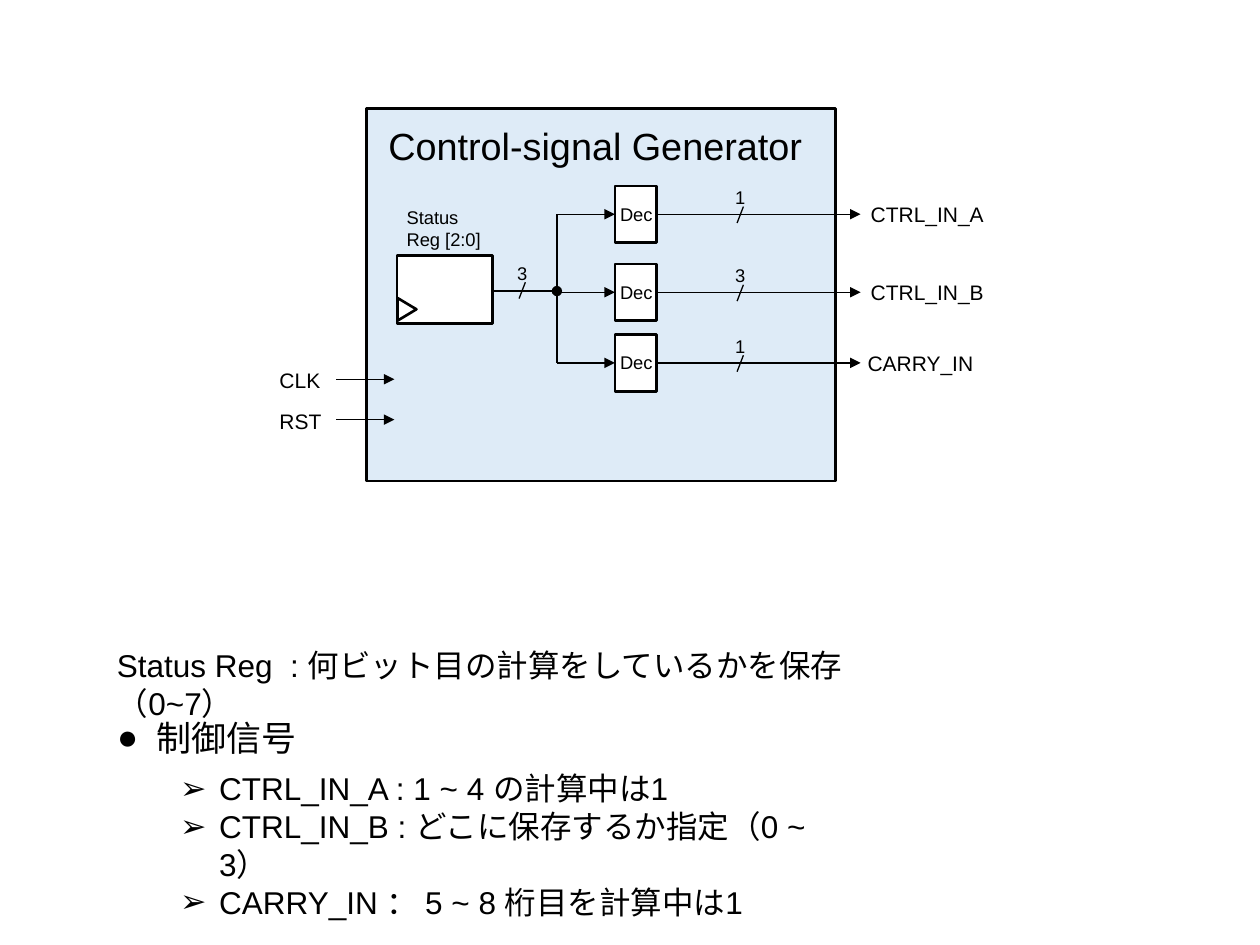
from dataclasses import dataclass

from lxml import etree
from pptx import Presentation
from pptx import util as u
from pptx.dml import color
from pptx.enum import shapes, text
from pptx.oxml import ns

COLORS = {"ink": "000000", "panel": "DEEBF7", "box": "FFFFFF"}
FONT = "Arial"
SHAPE = shapes.MSO_SHAPE
ALIGN = text.PP_ALIGN


@dataclass
class Channel:
    name: str
    bits: str
    y: float
    label_left: float
    label_width: float


@dataclass
class Item:
    words: str
    level: int
    size: float
    bullet: str
    margin: float
    after: float


CHANNELS = [
    Channel("CTRL_IN_A", "1", 1.70, 6.78, 1.16),
    Channel("CTRL_IN_B", "3", 2.32, 6.78, 1.16),
    Channel("CARRY_IN", "1", 2.88, 6.78, 1.05),
]
INPUTS = [("CLK", 3.01), ("RST", 3.33)]
ITEMS = [
    Item("制御信号", 0, 20, "●", 0.31, 6),
    Item("CTRL_IN_A : 1 ~ 4 の計算中は1", 1, 18, "➢", 0.81, 0),
    Item("CTRL_IN_B : どこに保存するか指定（0 ~ 3）", 1, 18, "➢", 0.81, 0),
    Item("CARRY_IN ： 5 ~ 8 桁目を計算中は1", 1, 18, "➢", 0.81, 0),
]
BUS_X, DEC_X, DEC_W, DEC_H = 4.42, 4.88, 0.33, 0.45

prs = Presentation()
prs.slide_width, prs.slide_height = u.Inches(10), u.Inches(7.5)
s = prs.slides.add_slide(prs.slide_layouts[1])


def rgb(name: str) -> color.RGBColor:
    return color.RGBColor.from_string(COLORS[name])


def place(sp, left: float, top: float, width: float, height: float) -> None:
    sp.left, sp.top = u.Inches(left), u.Inches(top)
    sp.width, sp.height = u.Inches(width), u.Inches(height)


def add_run(p, words: str, size: float) -> None:
    r = p.add_run()
    r.text = words
    r.font.size = u.Pt(size)
    r.font.name = FONT
    r.font.color.rgb = rgb("ink")


def add_shape(kind, left: float, top: float, width: float, height: float, fill: str = ""):
    sp = s.shapes.add_shape(kind, *map(u.Inches, (left, top, width, height)))
    sp.shadow.inherit = False
    if fill:
        sp.fill.solid()
        sp.fill.fore_color.rgb = rgb(fill)
    else:
        sp.fill.background()
    sp.line.color.rgb = rgb("ink")
    sp.line.width = u.Pt(1.5)
    return sp


def add_line(x1: float, y1: float, x2: float, y2: float, tail: str = "") -> None:
    sp = s.shapes.add_connector(shapes.MSO_CONNECTOR.STRAIGHT, *map(u.Inches, (x1, y1, x2, y2)))
    sp.line.color.rgb = rgb("ink")
    sp.line.width = u.Pt(0.75)
    if tail:
        etree.SubElement(sp.line._get_or_add_ln(), ns.qn("a:tailEnd"), type=tail)
    etree.SubElement(sp._element.spPr, ns.qn("a:effectLst"))


def add_label(lines: list[str], left: float, top: float, width: float, height: float,
              size: float, align=ALIGN.LEFT, wrap: bool = False) -> None:
    sp = s.shapes.add_textbox(*map(u.Inches, (left, top, width, height)))
    tf = sp.text_frame
    tf.word_wrap = wrap
    for i, words in enumerate(lines):
        p = tf.add_paragraph() if i else tf.paragraphs[0]
        p.alignment = align
        add_run(p, words, size)


def add_bus_width(x: float, y: float, bits: str) -> None:
    add_line(x + 0.03, y - 0.06, x - 0.02, y + 0.07)
    add_label([bits], x - 0.14, y - 0.27, 0.29, 0.28, 10.5, ALIGN.CENTER)


def set_bullet(p, bullet: str, margin: float) -> None:
    pPr = p._p.get_or_add_pPr()
    pPr.set("marL", str(u.Inches(margin)))
    pPr.set("indent", str(u.Inches(-0.31)))
    etree.SubElement(pPr, ns.qn("a:buFont"), typeface=FONT)
    etree.SubElement(pPr, ns.qn("a:buChar"), char=bullet)


def fill_title() -> None:
    sp = s.shapes.title
    place(sp, 2.92, 0.89, 3.61, 0.58)
    tf = sp.text_frame
    tf.vertical_anchor = text.MSO_ANCHOR.MIDDLE
    tf.auto_size = text.MSO_AUTO_SIZE.NONE
    p = tf.paragraphs[0]
    p.alignment = ALIGN.CENTER
    p.line_spacing = 0.9
    add_run(p, "Control-signal Generator", 21.6)


def fill_body() -> None:
    sp = s.placeholders[1]
    place(sp, 0.83, 5.64, 5.8, 1.43)
    tf = sp.text_frame
    tf.word_wrap = True
    tf.vertical_anchor = text.MSO_ANCHOR.TOP
    tf.auto_size = text.MSO_AUTO_SIZE.SHAPE_TO_FIT_TEXT
    for i, item in enumerate(ITEMS):
        p = tf.add_paragraph() if i else tf.paragraphs[0]
        p.level = item.level
        p.space_before, p.space_after = u.Pt(0), u.Pt(item.after)
        p.line_spacing = 1.0
        set_bullet(p, item.bullet, item.margin)
        add_run(p, item.words, item.size)


panel = add_shape(SHAPE.RECTANGLE, 2.91, 0.86, 3.72, 2.96, "panel")
s.shapes._spTree.remove(panel._element)
s.shapes._spTree.insert(2, panel._element)
fill_title()
fill_body()
add_label(["Status Reg  : 何ビット目の計算をしているかを保存（0~7）"],
          0.83, 5.08, 6.26, 0.4, 18, wrap=True)

add_label(["Status", "Reg [2:0]"], 3.13, 1.59, 0.8, 0.45, 10.5)
add_shape(SHAPE.RECTANGLE, 3.15, 2.03, 0.76, 0.54, "box")
clock = add_shape(SHAPE.ISOSCELES_TRIANGLE, 3.14, 2.38, 0.18, 0.15)
clock.rotation = 90
add_line(3.91, 2.31, BUS_X, 2.31, "oval")
add_bus_width(4.14, 2.3, "3")
add_line(BUS_X, CHANNELS[0].y, BUS_X, CHANNELS[-1].y)

for ch in CHANNELS:
    add_shape(SHAPE.RECTANGLE, DEC_X, ch.y - DEC_H / 2, DEC_W, DEC_H, "box")
    add_label(["Dec"], 4.82, ch.y - 0.14, 0.46, 0.28, 10.5, ALIGN.CENTER)
    add_line(BUS_X, ch.y, DEC_X, ch.y, "triangle")
    add_line(DEC_X + DEC_W, ch.y, 6.83, ch.y, "triangle")
    add_bus_width(5.87, ch.y, ch.bits)
    add_label([ch.name], ch.label_left, ch.y - 0.15, ch.label_width, 0.3, 12, ALIGN.CENTER)

for name, y in INPUTS:
    add_line(2.67, y, 3.13, y, "triangle")
    add_label([name], 2.12, y - 0.14, 0.54, 0.3, 12)

prs.save("out.pptx")
